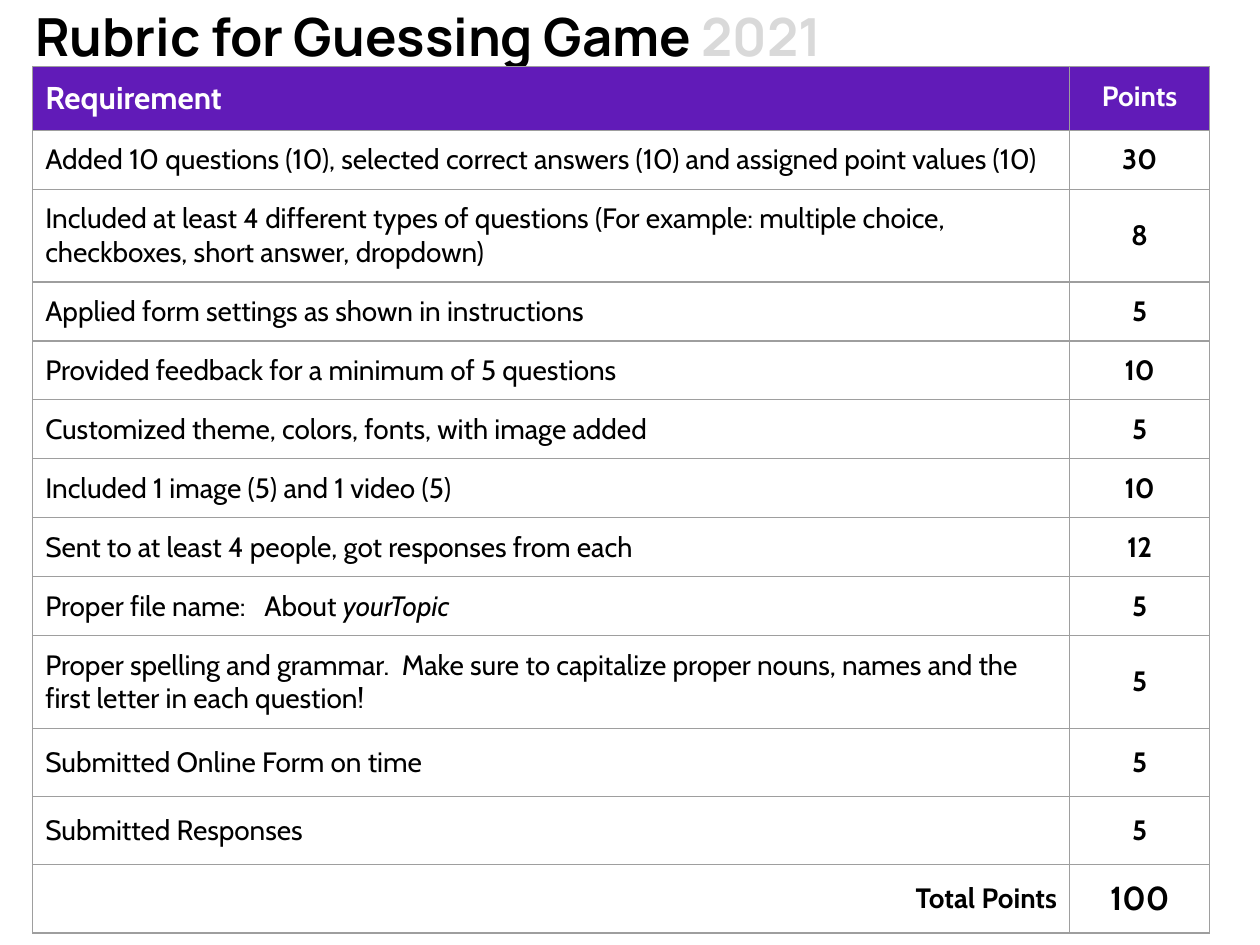
from lxml import etree
from pptx import Presentation
from pptx.dml.color import RGBColor
from pptx.enum import text
from pptx.oxml import ns
from pptx.util import Pt

BLACK, WHITE, PURPLE, PALE_GRAY, GRID = "000000", "FFFFFF", "611BB8", "D9D9D9", "9E9E9E"
LEFT, CENTER, RIGHT = text.PP_ALIGN.LEFT, text.PP_ALIGN.CENTER, text.PP_ALIGN.RIGHT
PADDING = Pt(7.2)
HEADER_HEIGHT, LINE_HEIGHT, TWO_LINE_HEIGHT, CLOSING_HEIGHT = 36.5, 33.7, 53, 39

REQUIREMENTS = [
    ("Added 10 questions (10), selected correct answers (10) and assigned point values (10)",
     30, LINE_HEIGHT),
    ("Included at least 4 different types of questions (For example: multiple choice, "
     "checkboxes, short answer, dropdown)", 8, TWO_LINE_HEIGHT),
    ("Applied form settings as shown in instructions", 5, LINE_HEIGHT),
    ("Provided feedback for a minimum of 5 questions", 10, LINE_HEIGHT),
    ("Customized theme, colors, fonts, with image added", 5, LINE_HEIGHT),
    ("Included 1 image (5) and 1 video (5)", 10, LINE_HEIGHT),
    ("Sent to at least 4 people, got responses from each", 12, LINE_HEIGHT),
    ("Proper file name:   About ", 5, LINE_HEIGHT),
    ("Proper spelling and grammar.  Make sure to capitalize proper nouns, names and the "
     "first letter in each question!", 5, TWO_LINE_HEIGHT),
    ("Submitted Online Form on time", 5, CLOSING_HEIGHT),
    ("Submitted Responses", 5, CLOSING_HEIGHT),
]
FILE_NAME_ROW = 8


def rgb(color):
    return RGBColor.from_string(color)


def add_text(frame, words, size=16, font="Cabin", color=BLACK, bold=False, italic=False,
             align=LEFT):
    """Append a run to the first paragraph of a text frame."""
    paragraph = frame.paragraphs[0]
    paragraph.alignment = align
    run = paragraph.add_run()
    run.text = words
    run.font.name, run.font.size = font, Pt(size)
    run.font.bold, run.font.italic = bold, italic
    run.font.color.rgb = rgb(color)


def set_padding(holder):
    holder.margin_left = holder.margin_right = PADDING
    holder.margin_top = holder.margin_bottom = PADDING


def set_borders(cell, color, width):
    properties = cell._tc.get_or_add_tcPr()
    for index, side in enumerate(("a:lnL", "a:lnR", "a:lnT", "a:lnB")):
        line = etree.Element(ns.qn(side), w=str(Pt(width)))
        fill = etree.SubElement(line, ns.qn("a:solidFill"))
        etree.SubElement(fill, ns.qn("a:srgbClr"), val=color)
        properties.insert(index, line)


def fill_cell(cell, words, fill=None, anchor=text.MSO_ANCHOR.MIDDLE, **text_format):
    set_padding(cell)
    cell.vertical_anchor = anchor
    if fill:
        cell.fill.solid()
        cell.fill.fore_color.rgb = rgb(fill)
    else:
        cell.fill.background()
    set_borders(cell, GRID, 0.75)
    add_text(cell.text_frame, words, **text_format)


def add_title(slide):
    frame = slide.shapes.add_textbox(Pt(13), Pt(-5), Pt(660), Pt(49)).text_frame
    frame.word_wrap = True
    set_padding(frame)
    add_text(frame, "Rubric for Guessing Game ", size=30, font="Manrope", bold=True)
    add_text(frame, "2021", size=30, font="Manrope", bold=True, color=PALE_GRAY)


def add_rubric(slide):
    heights = [HEADER_HEIGHT, *(height for _, _, height in REQUIREMENTS), CLOSING_HEIGHT]
    widths = [592.5, 80]
    rubric = slide.shapes.add_table(len(heights), len(widths), Pt(18.7), Pt(38),
                                    Pt(sum(widths)), Pt(sum(heights))).table
    rubric.first_row = rubric.horz_banding = False
    for column, width in zip(rubric.columns, widths):
        column.width = Pt(width)
    for row, height in zip(rubric.rows, heights):
        row.height = Pt(height)

    header = dict(fill=PURPLE, color=WHITE, bold=True, anchor=text.MSO_ANCHOR.TOP)
    fill_cell(rubric.cell(0, 0), "Requirement", size=18, **header)
    fill_cell(rubric.cell(0, 1), "Points", align=CENTER, **header)

    for row, (requirement, points, _) in enumerate(REQUIREMENTS, start=1):
        fill_cell(rubric.cell(row, 0), requirement)
        fill_cell(rubric.cell(row, 1), str(points), bold=True, align=CENTER)
    add_text(rubric.cell(FILE_NAME_ROW, 0).text_frame, "yourTopic", italic=True)

    total_row = len(heights) - 1
    total = sum(points for _, points, _ in REQUIREMENTS)
    fill_cell(rubric.cell(total_row, 0), "Total Points", bold=True, align=RIGHT)
    fill_cell(rubric.cell(total_row, 1), str(total), size=19, bold=True, align=CENTER)


def main():
    deck = Presentation()
    deck.slide_width, deck.slide_height = Pt(720), Pt(540)
    slide = deck.slides.add_slide(deck.slide_layouts[6])
    add_title(slide)
    add_rubric(slide)
    deck.save("out.pptx")


if __name__ == "__main__":
    main()
